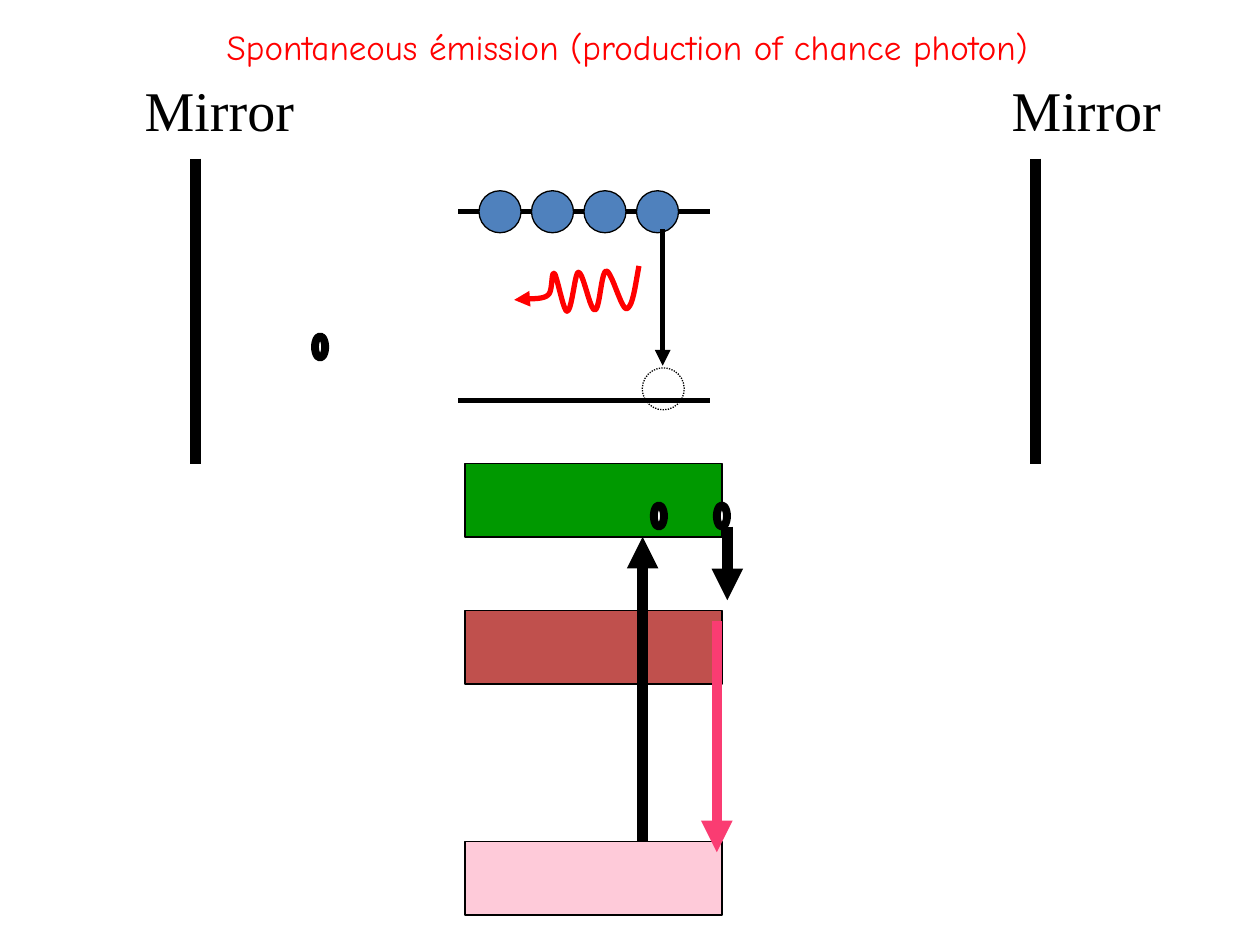
from lxml import etree
from pptx import Presentation
from pptx.dml.color import RGBColor
from pptx.enum import dml, shapes, text
from pptx.oxml import ns
from pptx.util import Pt

BLACK = RGBColor(0x00, 0x00, 0x00)
WHITE = RGBColor(0xFF, 0xFF, 0xFF)
RED = RGBColor(0xFF, 0x00, 0x00)
BLUE = RGBColor(0x4F, 0x81, 0xBD)
GREEN = RGBColor(0x00, 0x99, 0x00)
BRICK = RGBColor(0xC0, 0x50, 0x4D)
PALE_PINK = RGBColor(0xFE, 0xCA, 0xD9)
HOT_PINK = RGBColor(0xFA, 0x3C, 0x72)

CURVE_STEPS = 10
WAVE_START = (71.3, 0)
WAVE_CURVES = [
    ((69.1, 12.2), (67.7, 23.8), (64.1, 24.5)),
    ((61.2, 24.5), (55.4, 2.2), (52.6, 2.9)),
    ((49.7, 2.9), (49, 25.2), (46.1, 25.2)),
    ((43.2, 25.2), (39.6, 3.6), (36.7, 3.6)),
    ((34.6, 3.6), (33.1, 25.9), (30.2, 25.9)),
    ((28.1, 25.9), (24.5, 5.8), (23, 4.3)),
    ((20.9, 2.9), (22.3, 14.4), (19.4, 16.6)),
    ((16.6, 19.4), (7.2, 18.7), (3.6, 18.7)),
    ((0.7, 19.4), (0, 19.4), (0, 19.4)),
]


def add_arrowhead(shape):
    line = shape.line._get_or_add_ln()
    etree.SubElement(line, ns.qn("a:tailEnd"), type="triangle")


def add_line(parent, start, end, weight, color=BLACK, arrow=False):
    connector = parent.add_connector(
        shapes.MSO_CONNECTOR.STRAIGHT, *map(Pt, start + end))
    connector.line.color.rgb = color
    connector.line.width = Pt(weight)
    if arrow:
        add_arrowhead(connector)
    etree.SubElement(connector._element.spPr, ns.qn("a:effectLst"))
    return connector


def add_figure(parent, kind, box, fill=None, weight=0.75):
    shape = parent.add_shape(kind, *map(Pt, box))
    shape.shadow.inherit = False
    if fill is None:
        shape.fill.background()
    else:
        shape.fill.solid()
        shape.fill.fore_color.rgb = fill
    shape.line.color.rgb = BLACK
    shape.line.width = Pt(weight)
    return shape


def add_text(parent, box, content, *, size, font, color):
    shape = parent.add_textbox(*map(Pt, box))
    frame = shape.text_frame
    frame.word_wrap = False
    frame.auto_size = text.MSO_AUTO_SIZE.SHAPE_TO_FIT_TEXT
    paragraph = frame.paragraphs[0]
    paragraph.alignment = text.PP_ALIGN.LEFT
    run = paragraph.add_run()
    run.text = content
    run.font.size = Pt(size)
    run.font.name = font
    run.font.color.rgb = color


def add_electron(parent, left, top):
    add_figure(parent, shapes.MSO_SHAPE.OVAL, (left, top, 5.8, 12.2), WHITE, 4.5)


def curve_points(start, curves):
    for first, second, end in curves:
        for step in range(1, CURVE_STEPS + 1):
            t = step / CURVE_STEPS
            weights = ((1 - t) ** 3, 3 * t * (1 - t) ** 2, 3 * t * t * (1 - t), t ** 3)
            corners = (start, first, second, end)
            yield tuple(sum(w * c[axis] for w, c in zip(weights, corners))
                        for axis in (0, 1))
        start = end


def draw_photon(parent, left, top):
    def place(point):
        return Pt(left + point[0]), Pt(top + point[1])

    builder = parent.build_freeform(*place(WAVE_START))
    points = curve_points(WAVE_START, WAVE_CURVES)
    builder.add_line_segments([place(point) for point in points], close=False)
    wave = builder.convert_to_shape()
    wave.shadow.inherit = False
    wave.fill.background()
    wave.line.color.rgb = RED
    wave.line.width = Pt(3)
    add_arrowhead(wave)


def draw_cavity(parent, left, top, width, height):
    for x, label_left in ((left, left - 36), (left + width, left + width - 20.8)):
        add_line(parent, (x, top), (x, top + height), 6)
        add_text(parent, (label_left, top - 51, 100, 45.4), "Mirror",
                 size=32, font="Times New Roman", color=BLACK)


def draw_two_levels(parent, left, top, width, height):
    for y in (top, top + height):
        add_line(parent, (left, y), (left + width, y), 3)
    diameter = 24
    for index in range(4):
        add_figure(parent, shapes.MSO_SHAPE.OVAL,
                   (left + 11.7 + 30 * index, top - diameter / 2, diameter, diameter), BLUE)
    vacancy = add_figure(parent, shapes.MSO_SHAPE.OVAL,
                         (left + 105, top + 89.2, diameter, diameter))
    vacancy.line.dash_style = dml.MSO_LINE.ROUND_DOT
    x = left + 116.7
    add_line(parent, (x, top + 10), (x, top + 88), 3, arrow=True)
    draw_photon(parent, left + 31.8, top + 31)


def draw_pumping(parent, left, top, width, height):
    band = 41.8

    def add_band(y, color):
        add_figure(parent, shapes.MSO_SHAPE.RECTANGLE, (left, y, width, band), color)

    ground = top + height - band
    pump_x = left + 101.5
    right = left + width
    add_band(top + 84, BRICK)
    add_band(ground, PALE_PINK)
    add_line(parent, (pump_x, ground), (pump_x, top + band), 6, arrow=True)
    add_band(top, GREEN)
    for x in (right - 3, right - 39):
        add_electron(parent, x, top + 23.8)
    add_line(parent, (right + 3, top + 36), (right + 3, top + 78), 6, arrow=True)
    add_line(parent, (right - 3, top + 90), (right - 3, ground + 6), 6, HOT_PINK, arrow=True)


def main():
    presentation = Presentation()
    presentation.slide_width = Pt(720)
    presentation.slide_height = Pt(540)
    slide = presentation.slides.add_slide(presentation.slide_layouts[6])
    emission = slide.shapes.add_group_shape().shapes
    draw_cavity(emission, 111.6, 90.7, 480.2, 174.2)
    draw_two_levels(emission, 262, 121, 144, 108)
    add_text(emission, (122.4, 10.8, 506, 31.7),
             "Spontaneous émission (production of chance photon)",
             size=20, font="Comic Neue", color=RED)
    add_electron(slide.shapes, 180, 192.2)
    pumping = slide.shapes.add_group_shape().shapes
    draw_pumping(pumping, 265.7, 265, 146.9, 257.8)
    presentation.save("out.pptx")


if __name__ == "__main__":
    main()
